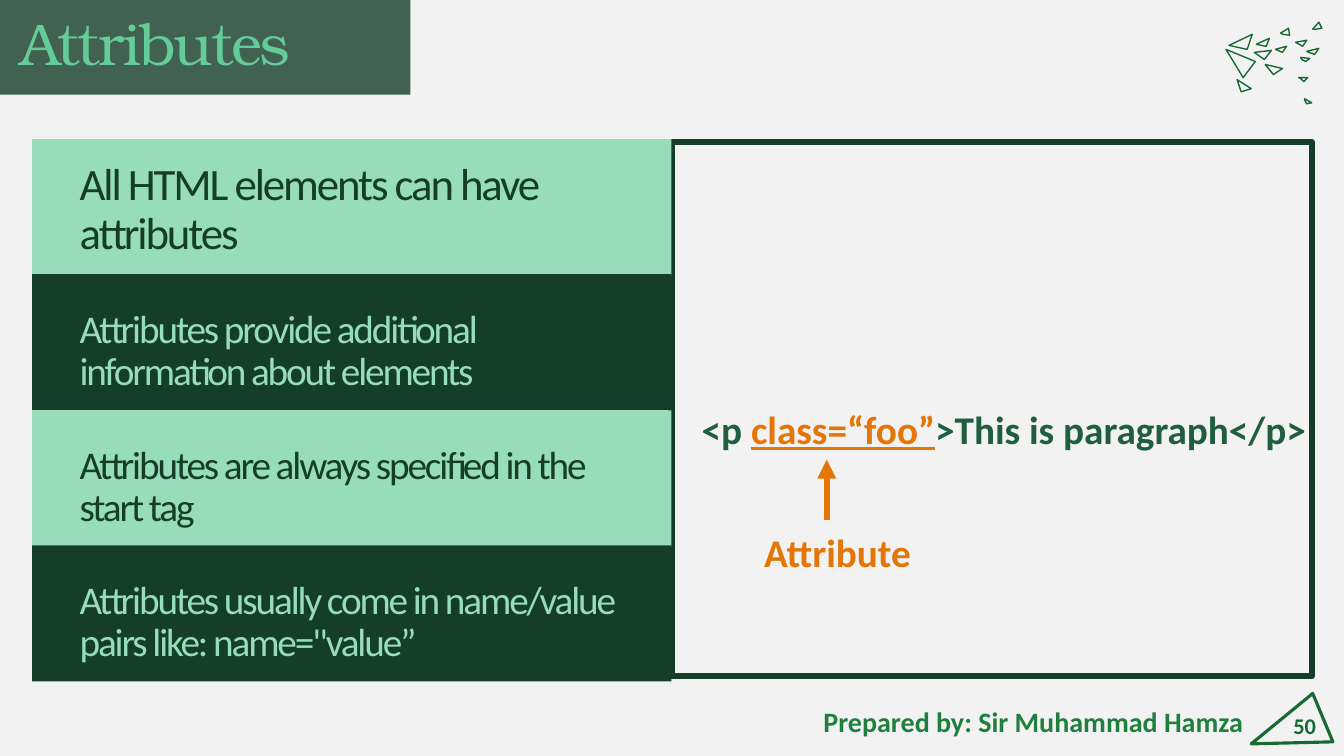
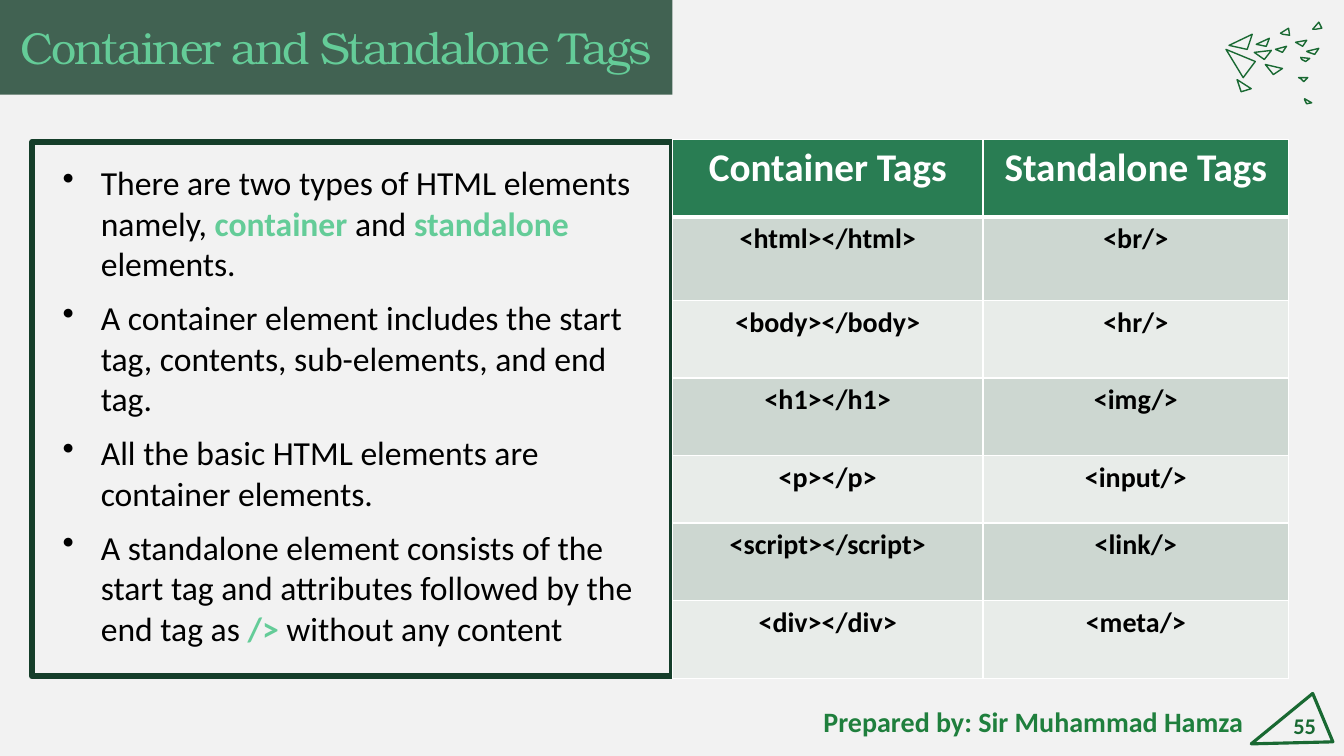
from lxml import etree
from pptx import Presentation
from pptx.dml.color import RGBColor
from pptx.enum.shapes import MSO_CONNECTOR, MSO_SHAPE
from pptx.enum.text import MSO_ANCHOR as ANCHOR, PP_ALIGN as ALIGN
from pptx.oxml.ns import qn
from pptx.util import Emu, Pt

EMU_PER_PX = 9144  # 100 px to the inch
SLIDE_SIZE = (1333, 750)

PAPER = RGBColor(0xF2, 0xF2, 0xF2)
FOREST = RGBColor(0x15, 0x3E, 0x2A)
MINT = RGBColor(0x97, 0xDD, 0xBA)
ACCENT = RGBColor(0x64, 0xCC, 0x98)
OUTLINE = RGBColor(0x19, 0x69, 0x32)
CREDIT = RGBColor(0x1F, 0x7F, 0x3D)
CODE = RGBColor(0x1F, 0x5E, 0x3E)
ORANGE = RGBColor(0xE4, 0x76, 0x07)
BLACK = RGBColor(0, 0, 0)
WHITE = RGBColor(0xFF, 0xFF, 0xFF)
HEADER = RGBColor(0x29, 0x7D, 0x53)
ROW_FILLS = (RGBColor(0xCD, 0xD7, 0xD1), RGBColor(0xE8, 0xEC, 0xE9))

BODY_FONT = "Calibri"
TITLE_FONT = "TeX Gyre Bonum"
TIGHT = -150  # letter spacing, hundredths of a point
CONTENT_TOP = 138
FRAME_TOP, FRAME_HEIGHT = 141, 530

PAGE_TRIANGLE = [(1302, 688), (1322, 736), (1241, 738)]
FLOCK = [
    [(1242, 34), (1237, 49), (1219, 45)],
    [(1261, 50), (1254, 59), (1244, 52)],
    [(1259, 38), (1256, 46), (1246, 44)],
    [(1276, 46), (1272, 52), (1265, 49)],
    [(1278, 28), (1279, 35), (1272, 34), (1270, 33)],
    [(1299, 58), (1295, 61), (1291, 59), (1290, 57)],
    [(1308, 22), (1311, 28), (1305, 29), (1302, 29)],
    [(1296, 40), (1292, 46), (1285, 42)],
    [(1308, 48), (1304, 54), (1298, 52), (1296, 51)],
    [(1245, 61), (1233, 77), (1216, 49)],
    [(1272, 68), (1263, 74), (1255, 64)],
    [(1297, 77), (1293, 81), (1290, 78), (1288, 77)],
    [(1241, 88), (1231, 91), (1227, 79)],
    [(1301, 102), (1296, 103), (1294, 99), (1294, 98)],
]

PANELS = [
    ("All HTML elements can have attributes", 32),
    ("Attributes provide additional information about elements", 28),
    ("Attributes are always specified in the start tag", 28),
    ('Attributes usually come in name/value pairs like: name="value”', 28),
]
# Every second piece of a bullet is highlighted.
BULLETS = [
    ["There are two types of HTML elements namely, ", "container", " and ",
     "standalone", " elements."],
    ["A container element includes the start tag, contents, sub-elements, "
     "and end tag."],
    ["All the basic HTML elements are container elements."],
    ["A standalone element consists of the start tag and attributes followed "
     "by the end tag as ", "/>", " without any content"],
]
TAG_ROWS = [
    ("Container Tags", "Standalone Tags"),
    ("<html></html>", "<br/>"),
    ("<body></body>", "<hr/>"),
    ("<h1></h1>", "<img/>"),
    ("<p></p>", "<input/>"),
    ("<script></script>", "<link/>"),
    ("<div></div>", "<meta/>"),
]
TAG_COLUMN_WIDTHS = (308, 303)
TAG_ROW_HEIGHTS = (77, 83, 77, 77, 67, 77, 77)


def px(n):
    return Emu(n * EMU_PER_PX)


def style_run(r, size, color, bold=False, font=BODY_FONT, spacing=None):
    f = r.font
    f.name, f.size, f.bold = font, Pt(size), bold
    f.color.rgb = color
    if spacing is not None:
        r._r.get_or_add_rPr().set("spc", str(spacing))


def set_frame(tf, insets, anchor):
    """Apply left, top, right and bottom insets, wrapping and anchoring."""
    tf.word_wrap = True
    tf.vertical_anchor = anchor
    (tf.margin_left, tf.margin_top,
     tf.margin_right, tf.margin_bottom) = map(px, insets)


def add_text(slide, box, text, size, color, align=ALIGN.LEFT,
             insets=(10, 5, 10, 5)):
    tf = slide.shapes.add_textbox(*map(px, box)).text_frame
    set_frame(tf, insets, ANCHOR.MIDDLE)
    p = tf.paragraphs[0]
    p.text = text
    p.alignment = align
    style_run(p.runs[0], size, color, bold=True)
    return p


def add_block(slide, box, fill, text, size, color, insets, font=BODY_FONT):
    """Filled rectangle with tightly spaced text at its bottom."""
    sp = slide.shapes.add_shape(MSO_SHAPE.RECTANGLE, *map(px, box))
    sp.shadow.inherit = False
    sp.fill.solid()
    sp.fill.fore_color.rgb = fill
    sp.line.fill.background()
    set_frame(sp.text_frame, insets, ANCHOR.BOTTOM)
    p = sp.text_frame.paragraphs[0]
    p.text = text
    p.alignment = ALIGN.LEFT
    p.line_spacing = 0.9
    style_run(p.runs[0], size, color, font=font, spacing=TIGHT)
    return sp


def add_frame(slide, left, width):
    box = (left, FRAME_TOP, width, FRAME_HEIGHT)
    sp = slide.shapes.add_shape(MSO_SHAPE.RECTANGLE, *map(px, box))
    sp.shadow.inherit = False
    sp.fill.background()
    sp.line.color.rgb = FOREST
    sp.line.width = Pt(4.5)
    return sp


def add_outline(shapes, points, weight):
    builder = shapes.build_freeform(*points[0], scale=EMU_PER_PX)
    builder.add_line_segments(points[1:], close=True)
    sp = builder.convert_to_shape()
    sp.shadow.inherit = False
    sp.fill.background()
    sp.line.color.rgb = OUTLINE
    sp.line.width = Pt(weight)


def add_title(slide, width, text, size, insets):
    sp = add_block(slide, (0, 0, width, 94), FOREST, text, size, ACCENT,
                   insets, TITLE_FONT)
    color = sp.fill._xPr.find(".//" + qn("a:srgbClr"))
    etree.SubElement(color, qn("a:alpha")).set("val", "80000")


def add_arrow(slide, start, end):
    line = slide.shapes.add_connector(
        MSO_CONNECTOR.STRAIGHT, *map(px, start + end))
    line.line.color.rgb = ORANGE
    line.line.width = Pt(4.5)
    ln = line.line._get_or_add_ln()
    etree.SubElement(ln, qn("a:tailEnd")).set("type", "triangle")
    etree.SubElement(line._element.spPr, qn("a:effectLst"))


def add_bullets(tf, bullets):
    for i, pieces in enumerate(bullets):
        p = tf.paragraphs[0] if i == 0 else tf.add_paragraph()
        p.alignment = ALIGN.LEFT
        if i:
            p.space_before = Pt(10)
        pPr = p._p.get_or_add_pPr()
        pPr.set("marL", str(px(38)))
        pPr.set("indent", str(px(-38)))
        etree.SubElement(pPr, qn("a:buChar")).set("char", "•")
        for j, piece in enumerate(pieces):
            r = p.add_run()
            r.text = piece
            marked = j % 2 == 1
            style_run(r, 24, ACCENT if marked else BLACK, bold=marked)


def set_borders(cell, top, bottom):
    """White cell borders; top and bottom widths in points."""
    tcPr = cell._tc.get_or_add_tcPr()
    for side, weight in (("L", 1), ("R", 1), ("T", top), ("B", bottom)):
        ln = etree.SubElement(tcPr, qn("a:ln" + side), w=str(Pt(weight)))
        fill = etree.SubElement(ln, qn("a:solidFill"))
        etree.SubElement(fill, qn("a:srgbClr"), val=str(WHITE))


def add_tag_table(slide, left, top):
    box = (left, top, sum(TAG_COLUMN_WIDTHS), sum(TAG_ROW_HEIGHTS))
    table = slide.shapes.add_table(
        len(TAG_ROWS), len(TAG_COLUMN_WIDTHS), *map(px, box)).table
    table.horz_banding = False
    for column, width in zip(table.columns, TAG_COLUMN_WIDTHS):
        column.width = px(width)
    for i, (row, height) in enumerate(zip(table.rows, TAG_ROW_HEIGHTS)):
        row.height = px(height)
        is_header = i == 0
        for cell, text in zip(row.cells, TAG_ROWS[i]):
            set_borders(cell, top=3 if i == 1 else 1,
                        bottom=3 if is_header else 1)
            cell.fill.solid()
            cell.fill.fore_color.rgb = (
                HEADER if is_header else ROW_FILLS[(i - 1) % 2])
            p = cell.text_frame.paragraphs[0]
            p.text = text
            p.alignment = ALIGN.CENTER
            style_run(p.runs[0], 28 if is_header else 20,
                      WHITE if is_header else BLACK, bold=True)


def new_slide(prs, number):
    """Blank slide with the shared background, footer and corner ornament."""
    slide = prs.slides.add_slide(prs.slide_layouts[6])
    slide.background.fill.solid()
    slide.background.fill.fore_color.rgb = PAPER
    add_text(slide, (1264, 692, 51, 55), str(number), 16, OUTLINE,
             ALIGN.RIGHT)
    add_outline(slide.shapes, PAGE_TRIANGLE, 2.25)
    add_text(slide, (800, 696, 450, 40), "Prepared by: Sir Muhammad Hamza",
             20, CREDIT, ALIGN.CENTER)
    flock = slide.shapes.add_group_shape()
    for points in FLOCK:
        add_outline(flock.shapes, points, 1)
    return slide


def build_attributes(prs):
    slide = new_slide(prs, 50)
    add_frame(slide, 666, 635)
    add_title(slide, 407, "Attributes", 42, (20, 0, 20, 16))
    for i, (text, size) in enumerate(PANELS):
        fill, color = (FOREST, MINT) if i % 2 else (MINT, FOREST)
        add_block(slide, (32, CONTENT_TOP + i * 269 // 2, 634, 135), fill,
                  text, size, color, (47, 0, 47, 16))

    no_insets = (0, 0, 0, 0)
    p = add_text(slide, (696, 402, 605, 47), "<p ", 28, CODE,
                 insets=no_insets)
    for text, color in (("class=“foo”", ORANGE),
                        (">This is paragraph</p>", CODE)):
        r = p.add_run()
        r.text = text
        style_run(r, 28, color, bold=True)
        r.font.underline = color == ORANGE
    add_text(slide, (758, 524, 160, 47), "Attribute", 28, ORANGE,
             insets=no_insets)
    add_arrow(slide, (820, 516), (820, 456))


def build_tags(prs):
    slide = new_slide(prs, 55)
    frame = add_frame(slide, 32, 635)
    set_frame(frame.text_frame, (30, 20, 30, 10), ANCHOR.TOP)
    add_bullets(frame.text_frame, BULLETS)
    add_title(slide, 667, "Container and Standalone Tags", 32,
              (20, 10, 20, 20))
    add_tag_table(slide, 667, CONTENT_TOP)


def main():
    prs = Presentation()
    prs.slide_width, prs.slide_height = map(px, SLIDE_SIZE)
    build_attributes(prs)
    build_tags(prs)
    prs.save("out.pptx")


if __name__ == "__main__":
    main()
